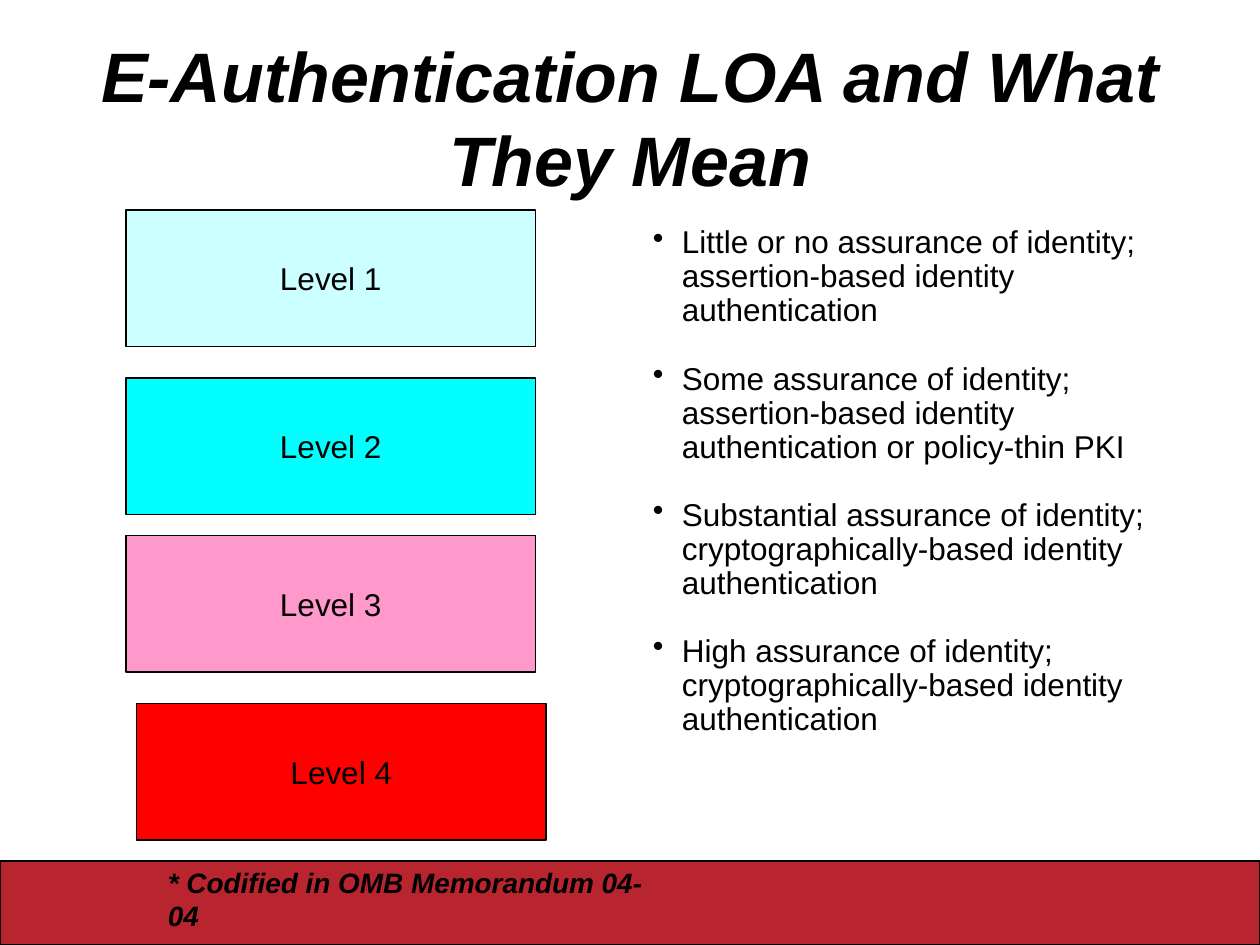
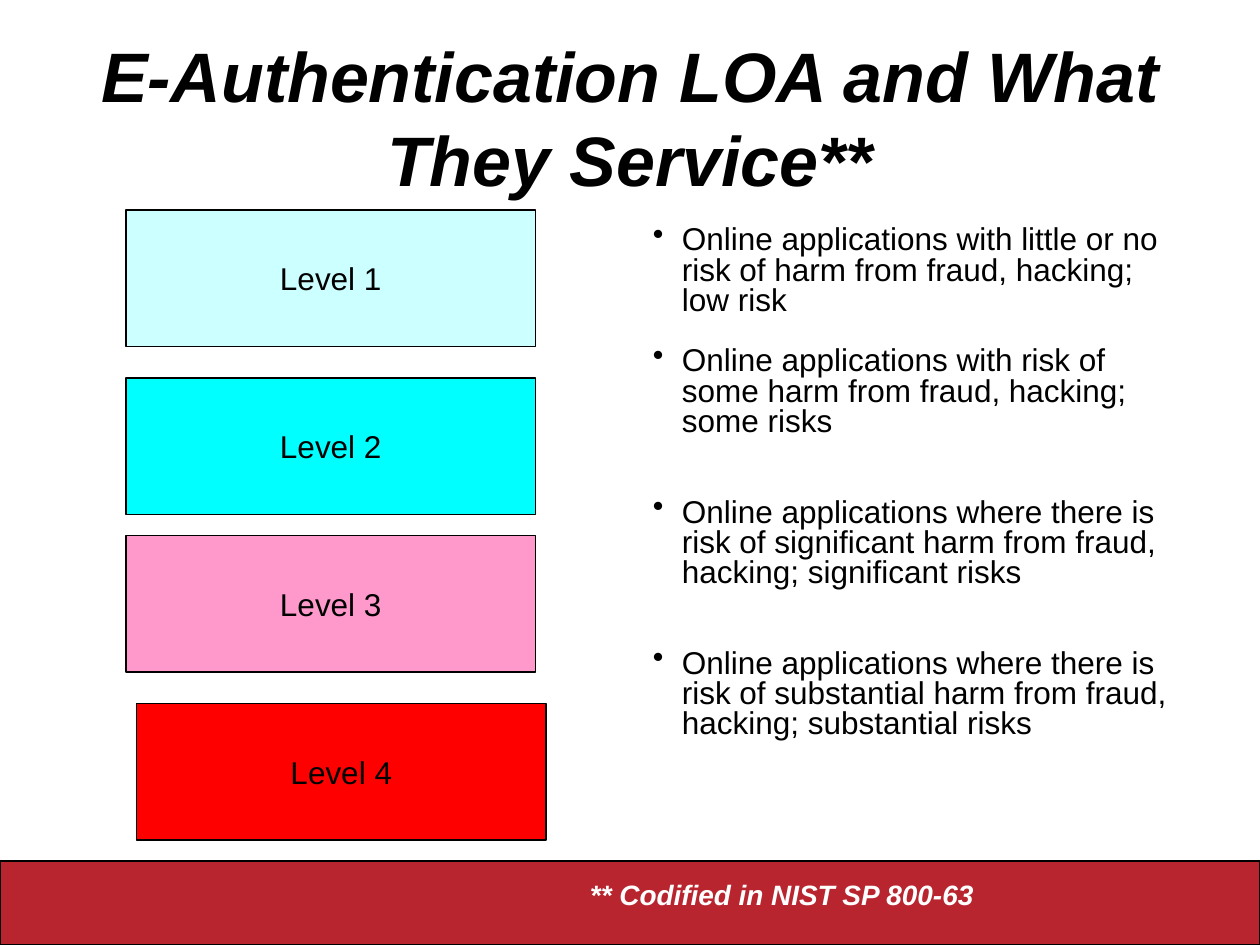
"""Build two slides on the E-Authentication levels of assurance."""
from dataclasses import dataclass

from lxml.etree import SubElement
from pptx import Presentation
from pptx.dml.color import RGBColor
from pptx.enum.shapes import MSO_SHAPE
from pptx.enum.text import MSO_ANCHOR, MSO_AUTO_SIZE, PP_ALIGN
from pptx.oxml.ns import qn
from pptx.util import Inches, Pt


@dataclass(frozen=True)
class Theme:
    """Colours, font and type sizes shared by the slides."""
    font: str = "Arial"
    ink: str = "000000"
    paper: str = "FFFFFF"
    band: str = "B9252E"
    title_size: int = 40
    body_size: int = 18
    note_size: int = 16
    line_width: float = 0.75
    line_pitch: float = 1.2
    bullet_indent: float = 0.23


@dataclass(frozen=True)
class Area:
    """A rectangle in grid columns and rows."""
    col: float
    row: float
    cols: float
    rows: float

    def emu(self) -> tuple[int, int, int, int]:
        """Return left, top, width and height in EMU."""
        return (int(self.col * CELL), int(self.row * CELL),
                int(self.cols * CELL), int(self.rows * CELL))


@dataclass(frozen=True)
class Level:
    """One coloured assurance level box."""
    name: str
    color: str
    col: float
    row: float


@dataclass(frozen=True)
class Bullet:
    """A bullet and the number of lines left open above it."""
    text: str
    gap_lines: int = 0


@dataclass(frozen=True)
class Note:
    """The remark set over the bottom band."""
    text: str
    color: str
    area: Area


@dataclass(frozen=True)
class LevelSlide:
    """What differs from slide to slide."""
    title: str
    bullets: tuple[Bullet, ...]
    line_spacing: float
    note: Note


THEME = Theme()
COLUMNS, ROWS = 120, 90
CELL = Inches(10) / COLUMNS

TITLE = Area(6, 3.6, 108, 15)
BODY = Area(61, 21, 53, 59.4)
BAND = Area(0, 82, COLUMNS, 8)
LEVEL_COLS, LEVEL_ROWS = 39, 13
LEVELS = (
    Level("Level 1", "CCFFFF", 12, 20),
    Level("Level 2", "00FFFF", 12, 36),
    Level("Level 3", "FF99CC", 12, 51),
    Level("Level 4", "FF0000", 13, 67),
)

SLIDES = (
    LevelSlide(
        "E-Authentication LOA and What They Mean",
        (
            Bullet("Little or no assurance of identity; assertion-based "
                   "identity authentication"),
            Bullet("Some assurance of identity; assertion-based identity "
                   "authentication or policy-thin PKI", 1),
            Bullet("Substantial assurance of identity; "
                   "cryptographically-based identity authentication", 1),
            Bullet("High assurance of identity; cryptographically-based "
                   "identity authentication", 1),
        ),
        0.9,
        Note("* Codified in OMB Memorandum 04-04", THEME.ink,
             Area(14.8, 81.8, 50.5, 4.4)),
    ),
    LevelSlide(
        "E-Authentication LOA and What They Service**",
        (
            Bullet("Online applications with little or no risk of harm from "
                   "fraud, hacking; low risk"),
            Bullet("Online applications with risk of some harm from fraud, "
                   "hacking; some risks", 1),
            Bullet("Online applications where there is risk of significant "
                   "harm from fraud, hacking; significant risks", 2),
            Bullet("Online applications where there is risk of substantial "
                   "harm from fraud, hacking; substantial risks", 2),
        ),
        0.8,
        Note("** Codified in NIST SP 800-63", THEME.paper,
             Area(55, 83, 39, 4.4)),
    ),
)


def style(p, size: int, color: str = THEME.ink, strong: bool = False) -> None:
    """Set the font of a paragraph; strong means bold italic."""
    font = p.font
    font.name, font.size = THEME.font, Pt(size)
    font.bold = font.italic = strong
    font.color.rgb = RGBColor.from_string(color)


def add_box(slide, area: Area, fill: str):
    """Add a filled, thinly outlined rectangle."""
    sp = slide.shapes.add_shape(MSO_SHAPE.RECTANGLE, *area.emu())
    sp.shadow.inherit = False
    sp.fill.solid()
    sp.fill.fore_color.rgb = RGBColor.from_string(fill)
    sp.line.color.rgb = RGBColor.from_string(THEME.ink)
    sp.line.width = Pt(THEME.line_width)
    return sp


def set_title(slide, text: str) -> None:
    """Place and format the title placeholder."""
    sp = slide.shapes.title
    sp.left, sp.top, sp.width, sp.height = TITLE.emu()
    tf = sp.text_frame
    tf.text = text
    tf.auto_size = MSO_AUTO_SIZE.NONE
    tf.vertical_anchor = MSO_ANCHOR.MIDDLE
    p = tf.paragraphs[0]
    p.alignment = PP_ALIGN.CENTER
    style(p, THEME.title_size, strong=True)


def add_level(slide, level: Level) -> None:
    """Add one labelled level box."""
    area = Area(level.col, level.row, LEVEL_COLS, LEVEL_ROWS)
    tf = add_box(slide, area, level.color).text_frame
    tf.text = level.name
    tf.word_wrap = False
    tf.vertical_anchor = MSO_ANCHOR.MIDDLE
    p = tf.paragraphs[0]
    p.alignment = PP_ALIGN.CENTER
    style(p, THEME.body_size)


def set_bullet(p) -> None:
    """Give a paragraph a round bullet with a hanging indent."""
    indent = Inches(THEME.bullet_indent)
    p_pr = p._p.get_or_add_pPr()
    p_pr.set("marL", str(indent))
    p_pr.set("indent", str(-indent))
    SubElement(p_pr, qn("a:buChar")).set("char", "•")


def add_bullets(slide, bullets: tuple[Bullet, ...], spacing: float) -> None:
    """Add the bulleted descriptions of the levels."""
    tf = slide.shapes.add_textbox(*BODY.emu()).text_frame
    tf.word_wrap = True
    line = THEME.body_size * THEME.line_pitch * spacing
    for i, bullet in enumerate(bullets):
        p = tf.add_paragraph() if i else tf.paragraphs[0]
        p.text = bullet.text
        p.line_spacing = spacing
        p.space_before = Pt(bullet.gap_lines * line)
        set_bullet(p)
        style(p, THEME.body_size)


def add_note(slide, note: Note) -> None:
    """Add the remark on the band."""
    tf = slide.shapes.add_textbox(*note.area.emu()).text_frame
    tf.text = note.text
    tf.word_wrap = False
    style(tf.paragraphs[0], THEME.note_size, note.color, strong=True)


def add_level_slide(prs, content: LevelSlide) -> None:
    """Add a slide with title, band, levels, bullets and note."""
    slide = prs.slides.add_slide(prs.slide_layouts.get_by_name("Title Only"))
    add_box(slide, BAND, THEME.band)
    set_title(slide, content.title)
    add_bullets(slide, content.bullets, content.line_spacing)
    for level in LEVELS:
        add_level(slide, level)
    add_note(slide, content.note)


def main() -> None:
    """Build and save the presentation."""
    prs = Presentation()
    prs.slide_width = int(COLUMNS * CELL)
    prs.slide_height = int(ROWS * CELL)
    for content in SLIDES:
        add_level_slide(prs, content)
    prs.save("out.pptx")


if __name__ == "__main__":
    main()
